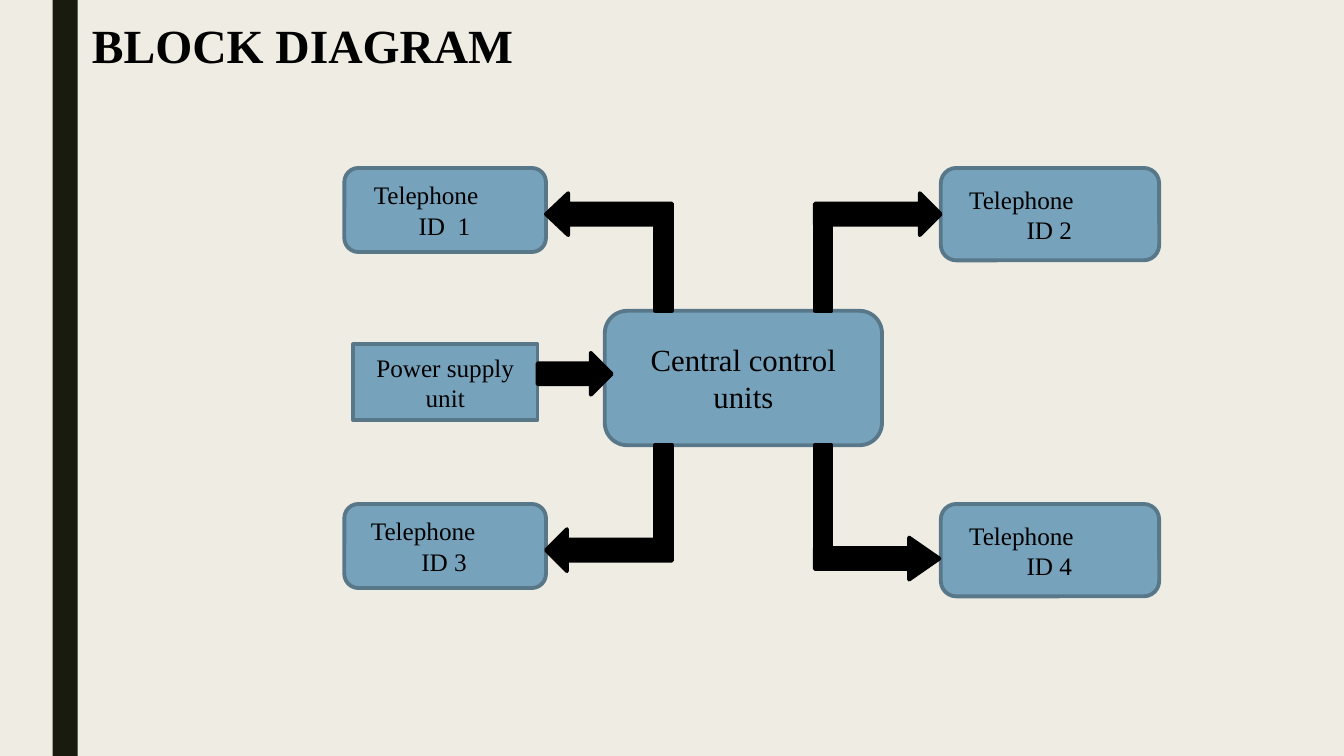
from pptx import Presentation
from pptx.dml.color import RGBColor
from pptx.enum.shapes import MSO_SHAPE as Kind
from pptx.enum.text import MSO_ANCHOR as Anchor, MSO_AUTO_SIZE as Auto, PP_ALIGN as Align
from pptx.util import Pt

FONT = "Times New Roman"
COLORS = {"back": "EFEDE3", "bar": "191B0E", "box": "77A2BB",
          "edge": "58788A", "ink": "000000"}
TITLE = "BLOCK DIAGRAM"

# text, kind, (left, top, width, height), size
HUB = (432, 222, 198, 96)
UNITS = [
    ("Central control\vunits", Kind.FLOWCHART_ALTERNATE_PROCESS, HUB, 22),
    ("Power supply\nunit", Kind.RECTANGLE, (252, 246, 132, 54), 18),
]
# number, (left, top, width, height), indents of the two lines
PHONES = [
    ("ID  1", (246, 120, 144, 60), (11, 43)),
    ("ID 2", (672, 120, 156, 66), (10, 51)),
    ("ID 3", (246, 360, 144, 60), (9, 45)),
    ("ID 4", (672, 360, 156, 66), (10, 51)),
]
# kind, left, top, width, head length as a share of the height
THICK, POST = 30, 12
SUPPLY = (Kind.RIGHT_ARROW, 384, 252, 53, 0.5)
LINKS = [
    (Kind.LEFT_ARROW, 390, 138, 90, 0.53),
    (Kind.RIGHT_ARROW, 582, 138, 90, 0.5),
    (Kind.LEFT_ARROW, 390, 378, 90, 0.5),
    (Kind.RIGHT_ARROW, 582, 384, 89, 0.72),
]


def color(name):
    return RGBColor.from_string(COLORS[name])


def draw(kind, area, fill, edge=None):
    shape = slide.shapes.add_shape(kind, *map(Pt, area))
    shape.shadow.inherit = False
    shape.fill.solid()
    shape.fill.fore_color.rgb = color(fill)
    if edge:
        shape.line.color.rgb = color(edge)
        shape.line.width = Pt(2.75)
    else:
        shape.line.fill.background()
    return shape


def write(shape, text, size, align, anchor, bold=False):
    frame = shape.text_frame
    frame.text = text
    frame.word_wrap = True
    frame.vertical_anchor = anchor
    for para in frame.paragraphs:
        para.alignment = align
        for run in para.runs:
            font = run.font
            font.name, font.size, font.bold = FONT, Pt(size), bold
            font.color.rgb = color("ink")


def arrow(kind, left, top, width, head):
    shape = draw(kind, (left, top, width, THICK), "ink", "ink")
    shape.adjustments[1] = head


def post(kind, left, top, width):
    """Join the tail of an arrow to the hub."""
    x = left if kind == Kind.RIGHT_ARROW else left + width - POST
    mid = top + THICK / 2
    hub_top, hub_end = HUB[1], HUB[1] + HUB[3]
    start, end = (mid + 3, hub_top) if mid < hub_top else (hub_end, mid - 3)
    draw(Kind.RECTANGLE, (x, start, POST, end - start), "ink", "ink")


deck = Presentation()
deck.slide_width, deck.slide_height = Pt(960), Pt(540)
slide = deck.slides.add_slide(deck.slide_layouts[5])
slide.background.fill.solid()
slide.background.fill.fore_color.rgb = color("back")

title = slide.shapes.title
title.left, title.top, title.width, title.height = map(Pt, (58.5, 8, 379, 48))
write(title, TITLE, 34, Align.LEFT, Anchor.TOP, True)
title.text_frame.auto_size = Auto.NONE

draw(Kind.RECTANGLE, (37.5, 0, 18, 540), "bar")

for text, kind, area, size in UNITS:
    write(draw(kind, area, "box", "edge"), text, size, Align.CENTER, Anchor.MIDDLE)

for number, area, (first, second) in PHONES:
    box = draw(Kind.ROUNDED_RECTANGLE, area, "box", "edge")
    write(box, f"Telephone\v{number}", 18, Align.LEFT, Anchor.MIDDLE)
    props = box.text_frame.paragraphs[0]._p.get_or_add_pPr()
    props.set("marL", str(Pt(second)))
    props.set("indent", str(Pt(first - second)))

for link in [*LINKS, SUPPLY]:
    arrow(*link)
for link in LINKS:
    post(*link[:4])

deck.save("out.pptx")
